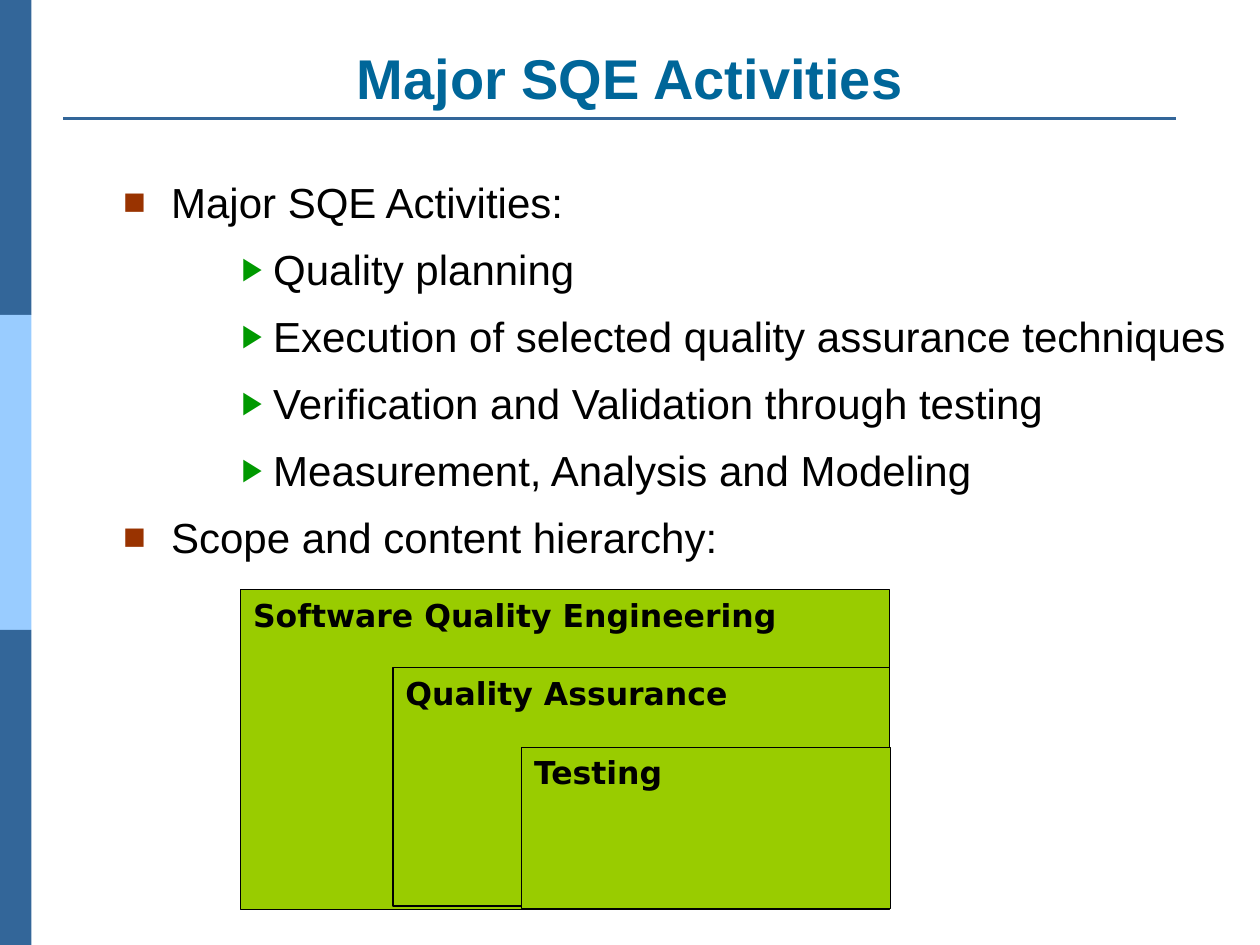
from dataclasses import dataclass

from lxml.etree import SubElement
from pptx import Presentation
from pptx.dml.color import RGBColor
from pptx.enum.shapes import MSO_CONNECTOR, MSO_SHAPE
from pptx.enum.text import MSO_ANCHOR, PP_ALIGN
from pptx.oxml.ns import qn
from pptx.shapes.autoshape import Shape
from pptx.slide import Slide
from pptx.text.text import _Paragraph
from pptx.util import Inches, Pt

BLACK = RGBColor(0x00, 0x00, 0x00)
DARK_BLUE = RGBColor(0x33, 0x66, 0x99)
LIGHT_BLUE = RGBColor(0x99, 0xCC, 0xFF)
TITLE_BLUE = RGBColor(0x00, 0x66, 0x99)
RUST = RGBColor(0x99, 0x33, 0x00)
GREEN = RGBColor(0x00, 0x99, 0x00)
LIME = RGBColor(0x99, 0xCC, 0x00)

BODY_FONT = "Arial"
SCOPE_FONT = "DejaVu Sans"


@dataclass(frozen=True)
class BulletStyle:
    level: int
    symbol: str
    color: RGBColor
    size_percent: int
    margin: float
    hanging: float


@dataclass(frozen=True)
class Scope:
    label: str
    left: float
    top: float
    width: float
    height: float


TOPIC = BulletStyle(0, "■", RUST, 90, 0.38, 0.38)
ACTIVITY = BulletStyle(2, "▶", GREEN, 75, 1.19, 0.25)

OUTLINE = [
    (TOPIC, "Major SQE Activities:"),
    (ACTIVITY, "Quality planning"),
    (ACTIVITY, "Execution of selected quality assurance techniques"),
    (ACTIVITY, "Verification and Validation through testing"),
    (ACTIVITY, "Measurement, Analysis and Modeling"),
    (TOPIC, "Scope and content hierarchy:"),
]

SCOPES = [
    Scope("Software Quality Engineering", 1.91, 4.68, 5.15, 2.54),
    Scope("Quality Assurance", 3.12, 5.3, 3.94, 1.89),
    Scope("Testing", 4.14, 5.93, 2.93, 1.28),
]


def add_text(paragraph: _Paragraph, text: str, font: str, size: int,
             color: RGBColor = BLACK, bold: bool = False) -> None:
    run = paragraph.add_run()
    run.text = text
    run.font.name = font
    run.font.size = Pt(size)
    run.font.bold = bold
    run.font.color.rgb = color


def add_rectangle(slide: Slide, left: float, top: float, width: float,
                  height: float, fill: RGBColor) -> Shape:
    rectangle = slide.shapes.add_shape(
        MSO_SHAPE.RECTANGLE, Inches(left), Inches(top), Inches(width), Inches(height))
    rectangle.shadow.inherit = False
    rectangle.fill.solid()
    rectangle.fill.fore_color.rgb = fill
    rectangle.line.fill.background()
    return rectangle


def add_side_band(slide: Slide) -> None:
    band_height = 2.5
    for index, color in enumerate([DARK_BLUE, LIGHT_BLUE, DARK_BLUE]):
        add_rectangle(slide, 0, index * band_height, 0.25, band_height, color)


def add_title_rule(slide: Slide) -> None:
    rule = slide.shapes.add_connector(
        MSO_CONNECTOR.STRAIGHT, Inches(0.5), Inches(0.94), Inches(9.33), Inches(0.94))
    rule.line.color.rgb = DARK_BLUE
    rule.line.width = Pt(1.5)
    SubElement(rule._element.spPr, qn("a:effectLst"))


def format_title(slide: Slide) -> None:
    title = slide.shapes.title
    title.left, title.top = Inches(0.5), Inches(0.3)
    title.width, title.height = Inches(9), Inches(0.63)
    title.text_frame.vertical_anchor = MSO_ANCHOR.BOTTOM
    heading = title.text_frame.paragraphs[0]
    heading.alignment = PP_ALIGN.CENTER
    add_text(heading, "Major SQE Activities", BODY_FONT, 32, TITLE_BLUE, bold=True)


def set_bullet(paragraph: _Paragraph, style: BulletStyle) -> None:
    paragraph.level = style.level
    properties = paragraph._p.get_or_add_pPr()
    properties.set("marL", str(Inches(style.margin)))
    properties.set("indent", str(-Inches(style.hanging)))
    color = SubElement(properties, qn("a:buClr"))
    SubElement(color, qn("a:srgbClr"), val=str(style.color))
    SubElement(properties, qn("a:buSzPct"), val=str(style.size_percent * 1000))
    SubElement(properties, qn("a:buFont"), typeface=BODY_FONT)
    SubElement(properties, qn("a:buChar"), char=style.symbol)


def add_outline(slide: Slide) -> None:
    outline = slide.shapes.add_textbox(
        Inches(0.88), Inches(1.35), Inches(9), Inches(6.15)).text_frame
    outline.word_wrap = True
    for index, (style, text) in enumerate(OUTLINE):
        paragraph = outline.add_paragraph() if index else outline.paragraphs[0]
        paragraph.space_before = Pt(9.5)
        set_bullet(paragraph, style)
        add_text(paragraph, text, BODY_FONT, 24)


def add_scope(slide: Slide, scope: Scope) -> None:
    rectangle = add_rectangle(
        slide, scope.left, scope.top, scope.width, scope.height, LIME)
    rectangle.line.color.rgb = BLACK
    rectangle.line.width = Pt(0.75)
    frame = rectangle.text_frame
    frame.word_wrap = False
    frame.vertical_anchor = MSO_ANCHOR.TOP
    frame.paragraphs[0].alignment = PP_ALIGN.LEFT
    add_text(frame.paragraphs[0], scope.label, SCOPE_FONT, 18, bold=True)


def main() -> None:
    presentation = Presentation()
    presentation.slide_width = Inches(10)
    presentation.slide_height = Inches(7.5)
    title_only = presentation.slide_layouts[5]
    slide = presentation.slides.add_slide(title_only)
    add_side_band(slide)
    add_title_rule(slide)
    format_title(slide)
    add_outline(slide)
    for scope in SCOPES:
        add_scope(slide, scope)
    presentation.save("out.pptx")


if __name__ == "__main__":
    main()
